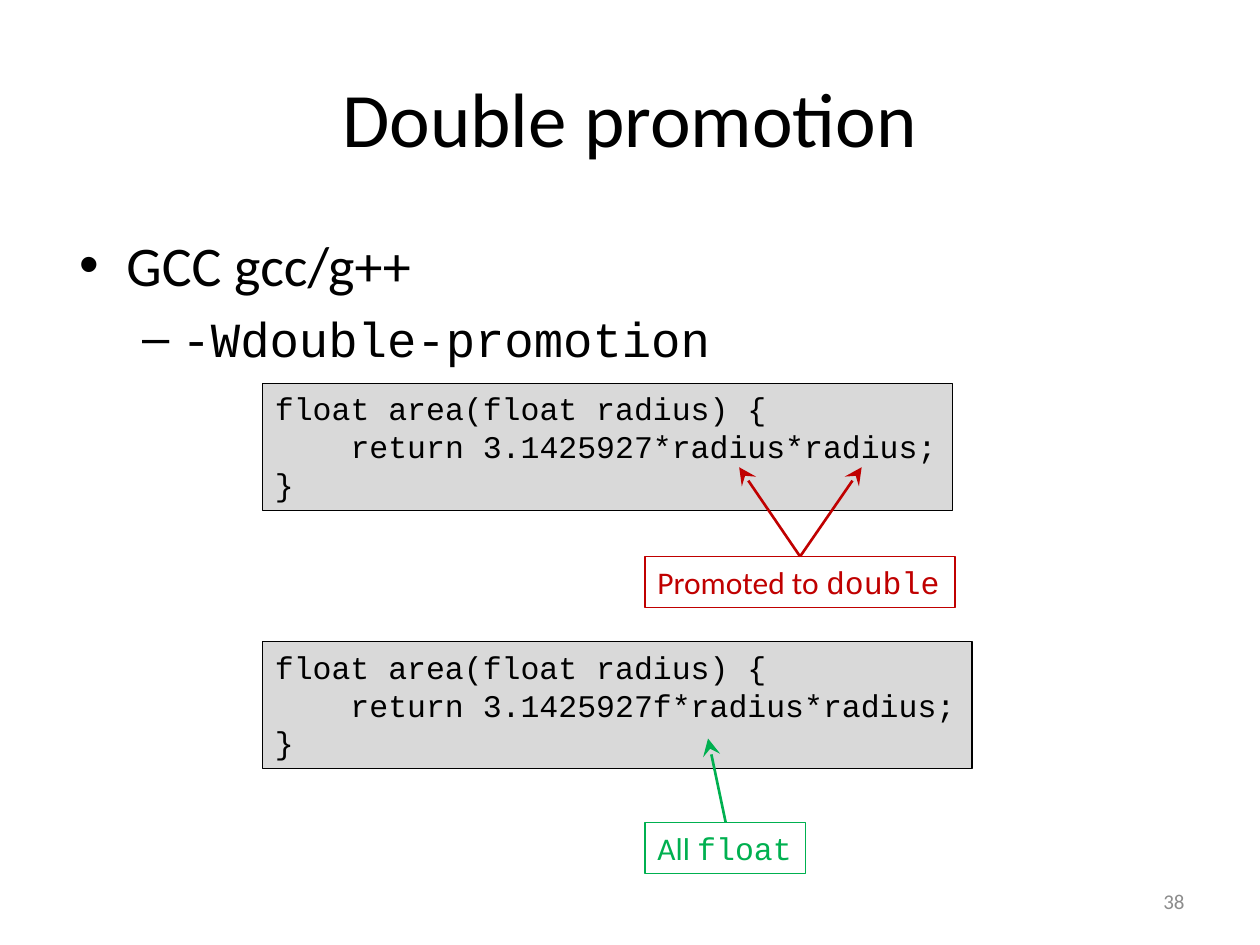
"""Build a slide on double promotion warnings in C code."""
from dataclasses import dataclass

from lxml.etree import SubElement
from pptx import Presentation
from pptx.dml.color import RGBColor
from pptx.enum.shapes import MSO_CONNECTOR as Connector, MSO_SHAPE as Preset
from pptx.enum.text import MSO_ANCHOR as Anchor, MSO_AUTO_SIZE as AutoSize, PP_ALIGN as Align
from pptx.oxml.ns import qn
from pptx.util import Pt

SANS, MONO = "Calibri", "Courier New"
BLACK, GREY, PANEL, RED, GREEN = "000000", "8C8C8C", "D9D9D9", "C00000", "00B050"


@dataclass(frozen=True)
class Area:
    left: float
    top: float
    width: float
    height: float

    def lengths(self):
        return [Pt(v) for v in (self.left, self.top, self.width, self.height)]


@dataclass(frozen=True)
class Bullet:
    mark: str
    margin: float
    hanging: float
    before: float


@dataclass(frozen=True)
class Line:
    runs: tuple[tuple[str, str], ...]
    size: float = 18
    bullet: Bullet | None = None


@dataclass(frozen=True)
class Example:
    code: str
    panel: Area
    label: tuple[tuple[str, str], ...]
    label_area: Area
    color: str
    start: tuple[float, float]
    targets: tuple[tuple[float, float], ...]


EXAMPLES = (
    Example(
        "float area(float radius) {\n    return 3.1425927*radius*radius;\n}",
        Area(150, 219, 394.5, 72.7),
        (("Promoted to ", SANS), ("double", MONO)),
        Area(368.6, 318, 177.1, 29),
        RED, (457.2, 318), ((422.4, 267), (492.4, 267)),
    ),
    Example(
        "float area(float radius) {\n    return 3.1425927f*radius*radius;\n}",
        Area(150, 366.6, 405.4, 72.7),
        (("All ", SANS), ("float", MONO)),
        Area(368.6, 470, 91.6, 29),
        GREEN, (414.7, 470), ((404.6, 422),),
    ),
)


def rgb(code: str) -> RGBColor:
    return RGBColor.from_string(code)


def add_bullet(paragraph, bullet: Bullet) -> None:
    paragraph.space_before = Pt(bullet.before)
    properties = paragraph._p.get_or_add_pPr()
    properties.set("marL", str(Pt(bullet.margin)))
    properties.set("indent", str(Pt(-bullet.hanging)))
    SubElement(properties, qn("a:buFont"), typeface="Arial")
    SubElement(properties, qn("a:buChar"), char=bullet.mark)


def write(frame, lines: list[Line], *, color: str = BLACK, align=Align.LEFT,
          anchor=Anchor.TOP, wrap: bool = True, grow: bool = False) -> None:
    frame.word_wrap = wrap
    frame.vertical_anchor = anchor
    frame.auto_size = AutoSize.SHAPE_TO_FIT_TEXT if grow else AutoSize.NONE
    for number, line in enumerate(lines):
        paragraph = frame.add_paragraph() if number else frame.paragraphs[0]
        paragraph.alignment = align
        if line.bullet:
            add_bullet(paragraph, line.bullet)
        for text, typeface in line.runs:
            run = paragraph.add_run()
            run.text = text
            run.font.name = typeface
            run.font.size = Pt(line.size)
            run.font.color.rgb = rgb(color)


def add_text(slide, area: Area, lines: list[Line], **style) -> None:
    write(slide.shapes.add_textbox(*area.lengths()).text_frame, lines, **style)


def add_panel(slide, area: Area, lines: list[Line], color: str, fill: str | None = None) -> None:
    panel = slide.shapes.add_shape(Preset.RECTANGLE, *area.lengths())
    panel.shadow.inherit = False
    if fill:
        panel.fill.solid()
        panel.fill.fore_color.rgb = rgb(fill)
    else:
        panel.fill.background()
    panel.line.color.rgb = rgb(color)
    panel.line.width = Pt(0.75)
    write(panel.text_frame, lines, color=color, wrap=False, grow=True)


def add_arrow(slide, start: tuple[float, float], end: tuple[float, float], color: str) -> None:
    arrow = slide.shapes.add_connector(Connector.STRAIGHT, *(Pt(v) for v in start + end))
    arrow.line.color.rgb = rgb(color)
    arrow.line.width = Pt(1.5)
    SubElement(arrow.line._get_or_add_ln(), qn("a:tailEnd"), type="stealth", w="lg", len="lg")
    SubElement(arrow._element.spPr, qn("a:effectLst"))


def add_example(slide, example: Example) -> None:
    code = [Line(((row, MONO),)) for row in example.code.split("\n")]
    add_panel(slide, example.panel, code, BLACK, PANEL)
    for target in example.targets:
        add_arrow(slide, example.start, target, example.color)
    add_panel(slide, example.label_area, [Line(example.label)], example.color)


def main() -> None:
    deck = Presentation()
    deck.slide_width, deck.slide_height = Pt(720), Pt(540)
    slide = deck.slides.add_slide(deck.slide_layouts[6])
    add_text(slide, Area(36, 21.6, 648, 90), [Line((("Double promotion", SANS),), 44)],
             align=Align.CENTER, anchor=Anchor.MIDDLE)
    add_text(slide, Area(38.2, 128.2, 648, 356.4), [
        Line((("GCC gcc/g++", SANS),), 32, Bullet("•", 27, 27, 0)),
        Line((("-Wdouble-promotion", MONO),), 28, Bullet("–", 58.5, 22.5, 6)),
    ])
    add_text(slide, Area(516, 500.5, 168, 28.8), [Line((("38", SANS),), 12)],
             color=GREY, align=Align.RIGHT, anchor=Anchor.MIDDLE)
    for example in EXAMPLES:
        add_example(slide, example)
    deck.save("out.pptx")


if __name__ == "__main__":
    main()
